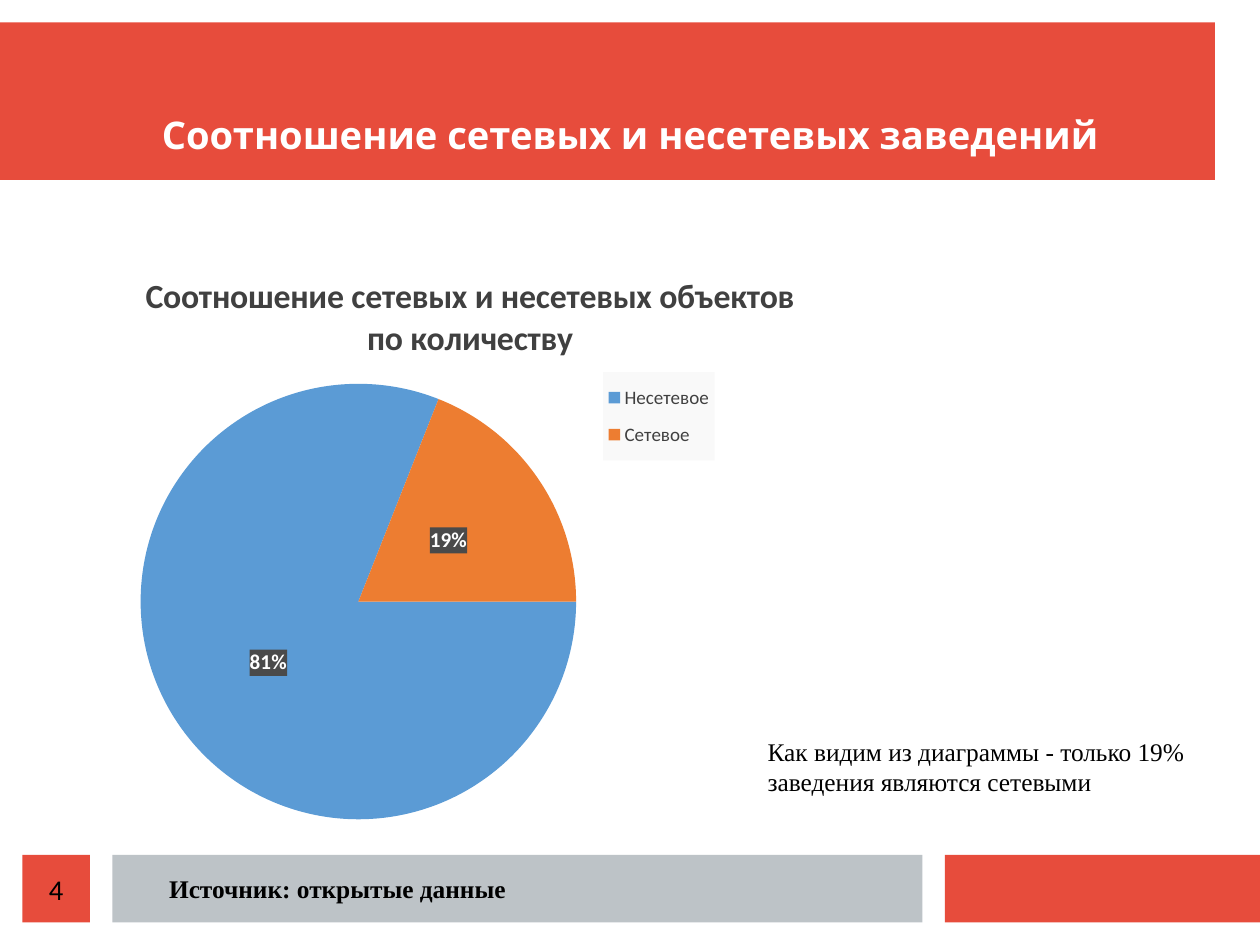
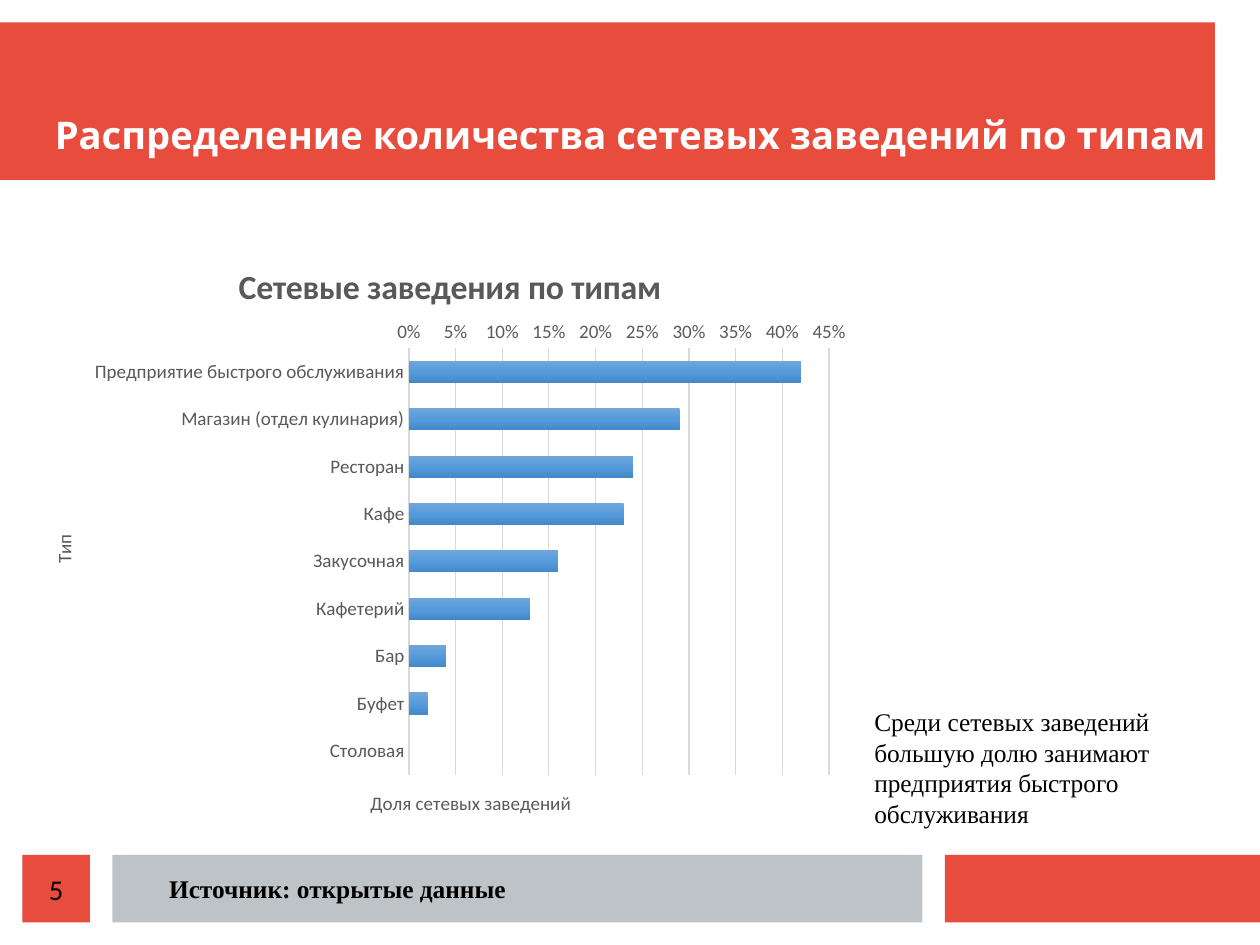
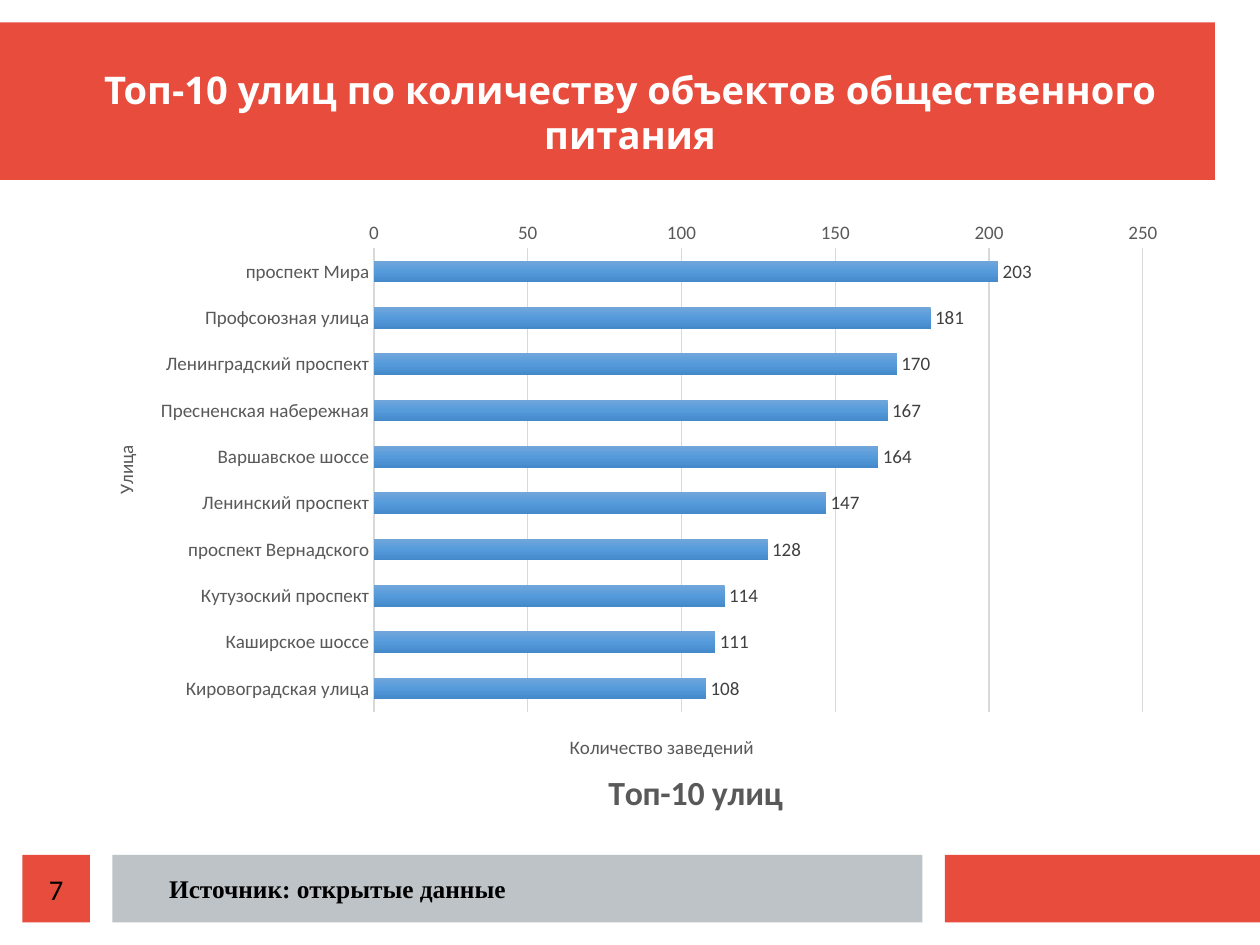
import copy
import dataclasses
import typing

import lxml.etree
import pptx
import pptx.chart.axis
import pptx.chart.chart
import pptx.chart.data
import pptx.dml.color
import pptx.enum.chart
import pptx.enum.shapes
import pptx.enum.text
import pptx.oxml.ns
import pptx.shapes.autoshape
import pptx.slide
import pptx.text.text
import pptx.util

Cm = pptx.util.Cm
Pt = pptx.util.Pt
RGBColor = pptx.dml.color.RGBColor
qn = pptx.oxml.ns.qn
Axis = typing.Union[pptx.chart.axis.CategoryAxis, pptx.chart.axis.ValueAxis]

RED = RGBColor(0xE7, 0x4C, 0x3C)
SILVER = RGBColor(0xBD, 0xC3, 0xC7)
WHITE = RGBColor(0xFF, 0xFF, 0xFF)
BLACK = RGBColor(0x00, 0x00, 0x00)
DARK_GREY = RGBColor(0x40, 0x40, 0x40)
LABEL_GREY = RGBColor(0x4A, 0x4A, 0x4A)
AXIS_GREY = RGBColor(0x59, 0x59, 0x59)
GRID_GREY = RGBColor(0xD9, 0xD9, 0xD9)
LEGEND_GREY = RGBColor(0xF9, 0xF9, 0xF9)
BLUE = RGBColor(0x5B, 0x9B, 0xD5)
ORANGE = RGBColor(0xED, 0x7D, 0x31)
BAR_GRADIENT = (
    (0, RGBColor(0x71, 0xA6, 0xDB)),
    (0.5, RGBColor(0x55, 0x9B, 0xDB)),
    (1, RGBColor(0x44, 0x8A, 0xCA)),
)

SANS, HEADING, SERIF = "Calibri", "Noto Sans", "Times New Roman"
FOOTER_TOP, FOOTER_HEIGHT = 19, 1.5
SOURCE_TEXT = "Источник: открытые данные"


@dataclasses.dataclass(frozen=True)
class Box:
    """Left, top, width and height in centimetres."""

    left: float
    top: float
    width: float
    height: float

    def lengths(self) -> tuple[pptx.util.Length, ...]:
        """Return the four lengths."""
        return tuple(Cm(value) for value in dataclasses.astuple(self))


@dataclasses.dataclass(frozen=True)
class Style:
    """Font of a text."""

    size: float
    color: RGBColor
    name: str = SANS
    bold: bool = False


@dataclasses.dataclass(frozen=True)
class Caption:
    """Chart text with its place as fractions of the chart."""

    text: str
    place: tuple[float, float]


@dataclasses.dataclass(frozen=True)
class Note:
    """Comment beside a chart."""

    text: str
    box: Box


@dataclasses.dataclass(frozen=True)
class ChartPlan:
    """What every chart has."""

    box: Box
    title: Caption
    plot_area: tuple[float, float, float, float]
    values: dict[str, float]


@dataclasses.dataclass(frozen=True)
class BarPlan(ChartPlan):
    """Horizontal bar chart with two axis titles."""

    category_title: Caption
    value_title: Caption
    maximum: float
    step: float
    number_format: str = "General"
    labelled: bool = False


@dataclasses.dataclass(frozen=True)
class Topic:
    """Content of one slide."""

    number: int
    title: str
    chart: ChartPlan
    note: typing.Optional[Note] = None


TITLE_STYLE = Style(24, WHITE, HEADING, True)
NUMBER_STYLE = Style(18, BLACK)
SOURCE_STYLE = Style(16, BLACK, SERIF, True)
NOTE_STYLE = Style(16, BLACK, SERIF)
PIE_TITLE_STYLE = Style(21.3, DARK_GREY, bold=True)
BAR_TITLE_STYLE = Style(21.3, AXIS_GREY, bold=True)
AXIS_STYLE = Style(12, AXIS_GREY)
LABEL_STYLE = Style(12, DARK_GREY)
PERCENT_STYLE = Style(13.3, WHITE, bold=True)

TITLE_BOX = Box(1, 1, 26, 2.5)
NUMBER_BOX = Box(0.5, FOOTER_TOP, 1.5, FOOTER_HEIGHT)
SOURCE_BOX = Box(3, FOOTER_TOP, 9, FOOTER_HEIGHT)
BANDS = (
    (Box(0, 0.5, 27, 3.5), RED),
    (Box(21, FOOTER_TOP, 7, FOOTER_HEIGHT), RED),
    (Box(2.5, FOOTER_TOP, 18, FOOTER_HEIGHT), SILVER),
)

TOPICS = (
    Topic(
        4,
        "Соотношение сетевых и несетевых заведений",
        ChartPlan(
            Box(1, 5.26, 19.08, 13.08),
            Caption("Соотношение сетевых и несетевых объектов по количеству", (0.11, 0.05)),
            (0.11, 0.25, 0.51, 0.74),
            {"Несетевое": 81, "Сетевое": 19},
        ),
        Note(
            "Как видим из диаграммы - только 19% заведения являются сетевыми",
            Box(16.81, 16.23, 10.36, 1.63),
        ),
    ),
    Topic(
        5,
        "Распределение количества сетевых заведений по типам",
        BarPlan(
            Box(0.5, 5.03, 18.67, 13.54),
            Caption("Сетевые заведения по типам", (0.25, 0.05)),
            (0.46, 0.2, 0.5, 0.7),
            {
                "Предприятие быстрого обслуживания": 0.42,
                "Магазин (отдел кулинария)": 0.29,
                "Ресторан": 0.24,
                "Кафе": 0.23,
                "Закусочная": 0.16,
                "Кафетерий": 0.13,
                "Бар": 0.04,
                "Буфет": 0.02,
                "Столовая": 0,
            },
            Caption("Тип", (0.03, 0.5)),
            Caption("Доля сетевых заведений", (0.41, 0.92)),
            0.45,
            0.05,
            "0%",
        ),
        Note(
            "Среди сетевых заведений большую долю занимают предприятия быстрого обслуживания",
            Box(19.18, 15.57, 8.18, 3),
        ),
    ),
    Topic(
        7,
        "Топ-10 улиц по количеству объектов общественного питания",
        BarPlan(
            Box(0.3, 4.09, 26.7, 14.3),
            Caption("Топ-10 улиц", (0.49, 0.9)),
            (0.3, 0.1, 0.64, 0.72),
            {
                "проспект Мира": 203,
                "Профсоюзная улица": 181,
                "Ленинградский проспект": 170,
                "Пресненская набережная": 167,
                "Варшавское шоссе": 164,
                "Ленинский проспект": 147,
                "проспект Вернадского": 128,
                "Кутузоский проспект": 114,
                "Каширское шоссе": 111,
                "Кировоградская улица": 108,
            },
            Caption("Улица", (0.08, 0.4)),
            Caption("Количество заведений", (0.46, 0.85)),
            250,
            50,
            labelled=True,
        ),
    ),
)


def apply_font(font: pptx.text.text.Font, style: Style) -> None:
    """Give a font its style."""
    font.name, font.size, font.bold = style.name, Pt(style.size), style.bold
    font.color.rgb = style.color


def write(frame: pptx.text.text.TextFrame, text: str, style: Style) -> None:
    """Set the text of a frame and format it."""
    frame.text = text
    for para in frame.paragraphs:
        for span in para.runs:
            apply_font(span.font, style)


def clear_margins(frame: pptx.text.text.TextFrame) -> None:
    """Remove the insets of a frame."""
    frame.margin_left = frame.margin_top = frame.margin_right = frame.margin_bottom = 0


def center(frame: pptx.text.text.TextFrame) -> None:
    """Centre the text of a frame both ways, without insets."""
    clear_margins(frame)
    frame.vertical_anchor = pptx.enum.text.MSO_ANCHOR.MIDDLE
    frame.paragraphs[0].alignment = pptx.enum.text.PP_ALIGN.CENTER


def add_block(page: pptx.slide.Slide, box: Box, color: RGBColor) -> pptx.shapes.autoshape.Shape:
    """Draw a plain filled rectangle."""
    block = page.shapes.add_shape(pptx.enum.shapes.MSO_SHAPE.RECTANGLE, *box.lengths())
    block.shadow.inherit = False
    block.fill.solid()
    block.fill.fore_color.rgb = color
    block.line.fill.background()
    return block


def prepare_layout(layout: pptx.slide.SlideLayout, page: pptx.slide.Slide) -> None:
    """Place the title and move the bands, drawn on a page, to the layout."""
    title = layout.placeholders[0]
    title.left, title.top, title.width, title.height = TITLE_BOX.lengths()
    clear_margins(title.text_frame)
    title.text_frame.vertical_anchor = pptx.enum.text.MSO_ANCHOR.BOTTOM
    title.text_frame.auto_size = pptx.enum.text.MSO_AUTO_SIZE.NONE
    for index, (box, color) in enumerate(BANDS):
        band = add_block(page, box, color).element
        band.nvSpPr.cNvPr.set("id", str(20 + index))
        layout.shapes.element.insert(2 + index, band)


def add_text(page: pptx.slide.Slide, text: str, box: Box, style: Style) -> pptx.text.text.TextFrame:
    """Add a wrapping text box."""
    frame = page.shapes.add_textbox(*box.lengths()).text_frame
    frame.word_wrap = True
    write(frame, text, style)
    return frame


def place(parent: lxml.etree.ElementBase, fractions: tuple[float, ...], inner: bool = False) -> None:
    """Give a part of a chart a manual layout."""
    for old in parent.findall(qn("c:layout")):
        parent.remove(old)
    layout = lxml.etree.Element(qn("c:layout"))
    manual = lxml.etree.SubElement(layout, qn("c:manualLayout"))
    if inner:
        lxml.etree.SubElement(manual, qn("c:layoutTarget"), val="inner")
    for name in ("xMode", "yMode"):
        lxml.etree.SubElement(manual, qn("c:" + name), val="edge")
    for name, value in zip("xywh", fractions):
        lxml.etree.SubElement(manual, qn("c:" + name), val=str(value))
    follows = parent[0].tag in (qn("c:tx"), qn("c:legendPos"))
    parent.insert(1 if follows else 0, layout)


def paint_back(parent: lxml.etree.ElementBase, color: RGBColor) -> None:
    """Fill the background of a legend or of data labels."""
    properties = lxml.etree.Element(qn("c:spPr"))
    fill = lxml.etree.SubElement(properties, qn("a:solidFill"))
    lxml.etree.SubElement(fill, qn("a:srgbClr"), val=str(color))
    parent.find(qn("c:txPr")).addprevious(properties)


def add_chart(
    page: pptx.slide.Slide, plan: ChartPlan, kind: pptx.enum.chart.XL_CHART_TYPE, title_style: Style
) -> pptx.chart.chart.Chart:
    """Add a chart with its title and plot area in place."""
    data = pptx.chart.data.CategoryChartData()
    data.categories = list(plan.values)
    data.add_series(plan.title.text, list(plan.values.values()))
    chart = page.shapes.add_chart(kind, *plan.box.lengths(), data).chart
    apply_font(chart.font, Style(10, BLACK))
    chart.has_legend = False
    chart.has_title = True
    write(chart.chart_title.text_frame, plan.title.text, title_style)
    place(chart.chart_title.element, plan.title.place)
    place(chart.element.find(".//" + qn("c:plotArea")), plan.plot_area, inner=True)
    return chart


def add_pie(page: pptx.slide.Slide, plan: ChartPlan) -> None:
    """Add the pie chart with its legend and percentages."""
    chart = add_chart(page, plan, pptx.enum.chart.XL_CHART_TYPE.PIE, PIE_TITLE_STYLE)
    plot = chart.plots[0]
    plot.vary_by_categories = True
    series = plot.series[0]
    for index, color in enumerate((BLUE, ORANGE)):
        fill = series.points[index].format.fill
        fill.solid()
        fill.fore_color.rgb = color
    labels = series.data_labels
    apply_font(labels.font, PERCENT_STYLE)
    labels.number_format, labels.number_format_is_linked = "0%", False
    labels.show_value, labels.show_percentage = False, True
    labels.position = pptx.enum.chart.XL_LABEL_POSITION.CENTER
    pie = chart.element.find(".//" + qn("c:pieChart"))
    paint_back(pie.find(".//" + qn("c:dLbls")), LABEL_GREY)
    lxml.etree.SubElement(pie, qn("c:firstSliceAng"), val="90")
    chart.has_legend = True
    legend = chart.legend
    legend.position = pptx.enum.chart.XL_LEGEND_POSITION.RIGHT
    legend.include_in_layout = False
    apply_font(legend.font, LABEL_STYLE)
    legend_element = chart.element.find(".//" + qn("c:legend"))
    place(legend_element, (0.65, 0.23, 0.13, 0.15))
    paint_back(legend_element, LEGEND_GREY)


def style_axis(axis: Axis, caption: Caption, rotation: int) -> None:
    """Format an axis and add its title."""
    axis.major_tick_mark = axis.minor_tick_mark = pptx.enum.chart.XL_TICK_MARK.NONE
    apply_font(axis.tick_labels.font, AXIS_STYLE)
    axis.has_title = True
    write(axis.axis_title.text_frame, caption.text, AXIS_STYLE)
    title = axis.axis_title.element
    body = title.find(".//" + qn("a:bodyPr"))
    body.set("rot", str(rotation * 60000))
    body.set("vert", "horz")
    place(title, caption.place)


def add_bars(page: pptx.slide.Slide, plan: BarPlan) -> None:
    """Add a horizontal bar chart, first category on top."""
    chart = add_chart(page, plan, pptx.enum.chart.XL_CHART_TYPE.BAR_CLUSTERED, BAR_TITLE_STYLE)
    categories, values = chart.category_axis, chart.value_axis
    style_axis(categories, plan.category_title, -90)
    style_axis(values, plan.value_title, 0)
    categories.reverse_order = True
    categories.format.line.color.rgb = GRID_GREY
    categories.format.line.width = Pt(1)
    values.format.line.fill.background()
    values.has_major_gridlines = True
    values.major_gridlines.format.line.color.rgb = GRID_GREY
    values.major_gridlines.format.line.width = Pt(0.75)
    values.minimum_scale, values.maximum_scale, values.major_unit = 0, plan.maximum, plan.step
    values.tick_labels.number_format = plan.number_format
    values.tick_labels.number_format_is_linked = False
    plot = chart.plots[0]
    plot.vary_by_categories = False
    plot.gap_width, plot.overlap = 115, -20
    series = plot.series[0]
    series.invert_if_negative = False
    fill = series.format.fill
    fill.gradient()
    fill.gradient_angle = 270
    stops = chart.element.find(".//" + qn("a:gsLst"))
    stops.insert(1, copy.deepcopy(stops[0]))
    for stop, (position, color) in zip(fill.gradient_stops, BAR_GRADIENT):
        stop.position, stop.color.rgb = position, color
    if plan.labelled:
        labels = series.data_labels
        apply_font(labels.font, LABEL_STYLE)
        labels.show_value = True
        labels.position = pptx.enum.chart.XL_LABEL_POSITION.OUTSIDE_END


def fill_page(page: pptx.slide.Slide, topic: Topic) -> None:
    """Put title, footer, chart and note on a page."""
    title = page.shapes.title.text_frame
    write(title, topic.title, TITLE_STYLE)
    title.paragraphs[0].alignment = pptx.enum.text.PP_ALIGN.CENTER
    number = add_block(page, NUMBER_BOX, RED).text_frame
    write(number, str(topic.number), NUMBER_STYLE)
    center(number)
    center(add_text(page, SOURCE_TEXT, SOURCE_BOX, SOURCE_STYLE))
    if isinstance(topic.chart, BarPlan):
        add_bars(page, topic.chart)
    else:
        add_pie(page, topic.chart)
    if topic.note:
        frame = add_text(page, topic.note.text, topic.note.box, NOTE_STYLE)
        frame.auto_size = pptx.enum.text.MSO_AUTO_SIZE.SHAPE_TO_FIT_TEXT


def main() -> None:
    """Build and save the deck."""
    deck = pptx.Presentation()
    deck.slide_width, deck.slide_height = Cm(28), Cm(21)
    layout = deck.slide_layouts[5]
    pages = [deck.slides.add_slide(layout) for _ in TOPICS]
    prepare_layout(layout, pages[0])
    for page, topic in zip(pages, TOPICS):
        fill_page(page, topic)
    deck.save("out.pptx")


if __name__ == "__main__":
    main()
